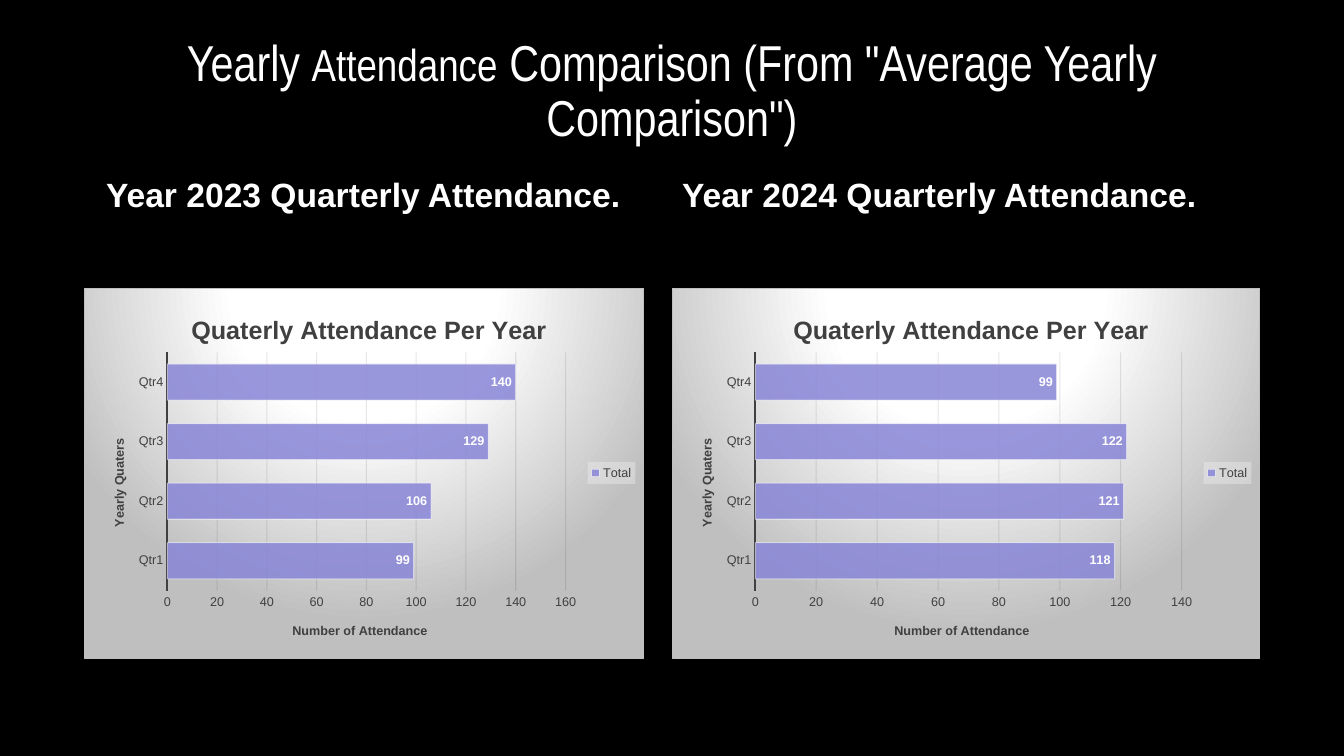
from pptx import Presentation
from pptx.chart.data import CategoryChartData
from pptx.dml.color import RGBColor
from pptx.enum.chart import XL_CHART_TYPE as ChartType, XL_LABEL_POSITION as LabelPosition
from pptx.enum.chart import XL_LEGEND_POSITION as LegendPosition, XL_TICK_MARK as TickMark
from pptx.enum.text import MSO_ANCHOR as Anchor, MSO_AUTO_SIZE as AutoSize, PP_ALIGN as Align
from pptx.oxml import parse_xml
from pptx.oxml.ns import nsdecls
from pptx.util import Pt

PX = 914400 / 100.8
BLACK = RGBColor(0x00, 0x00, 0x00)
WHITE = RGBColor(0xFF, 0xFF, 0xFF)
DARK_GRAY = RGBColor(0x40, 0x40, 0x40)
GRID = RGBColor(0x0D, 0x0D, 0x0D)
VIOLET = RGBColor(0x88, 0x85, 0xD7)

HEADING = dict(name="Arial", size=Pt(24), bold=True)
CHART_TITLE = dict(name="Arial", size=Pt(18), bold=True)
AXIS_TITLE = dict(name="Arial", size=Pt(9), bold=True)
TICK_LABEL = dict(name="Arial", size=Pt(9), bold=False)

QUARTERS = ["Qtr1", "Qtr2", "Qtr3", "Qtr4"]
# heading, heading box, chart box, values, axis maximum
YEARS = [
    ("Year 2023 Quarterly Attendance.", (96, 163, 535, 57), (84, 288, 560, 371),
     (99, 106, 129, 140), 160),
    ("Year 2024 Quarterly Attendance.", (672, 163, 577, 57), (672, 288, 588, 371),
     (118, 121, 122, 99), 140),
]

CHART_BACKGROUND = f"""<c:spPr {nsdecls('c', 'a')}>
<a:gradFill><a:gsLst>
<a:gs pos="0"><a:srgbClr val="FFFFFF"/></a:gs>
<a:gs pos="39000"><a:srgbClr val="FFFFFF"/></a:gs>
<a:gs pos="100000"><a:srgbClr val="BFBFBF"/></a:gs>
</a:gsLst><a:path path="circle"><a:fillToRect l="50000" t="-80000" r="50000" b="180000"/></a:path>
</a:gradFill>
<a:ln w="9525"><a:solidFill><a:srgbClr val="BFBFBF"/></a:solidFill></a:ln></c:spPr>"""
LEGEND_BACKGROUND = f"""<c:spPr {nsdecls('c', 'a')}><a:solidFill><a:srgbClr val="F2F2F2">
<a:alpha val="39000"/></a:srgbClr></a:solidFill></c:spPr>"""


def emu(box):
    return [round(length * PX) for length in box]


def set_font(font, color, values):
    for name, value in values.items():
        setattr(font, name, value)
    font.color.rgb = color


def set_line(line, color, width):
    line.color.rgb = color
    line.width = Pt(width)


def set_alpha(element, path, percent):
    for color in element.xpath(path + "/a:solidFill/a:srgbClr"):
        color.append(parse_xml(f'<a:alpha {nsdecls("a")} val="{percent * 1000}"/>'))


def fill_placeholder(shape, box, runs, anchor, alignment):
    """Write runs of (text, format) into a placeholder moved to the box."""
    shape.left, shape.top, shape.width, shape.height = emu(box)
    frame = shape.text_frame
    frame.auto_size = AutoSize.NONE
    frame.vertical_anchor = anchor
    paragraph = frame.paragraphs[0]
    for name, value in dict(alignment=alignment, line_spacing=0.9, space_before=Pt(0)).items():
        setattr(paragraph, name, value)
    for text, values in runs:
        run = paragraph.add_run()
        run.text = text
        set_font(run.font, WHITE, values)


def place_part(element, index, chart_box, left, top, width=None, height=None, inner=False):
    """Give a chart part a fixed place, in px from the chart's corner."""
    for layout in element.xpath("./c:layout"):
        element.remove(layout)
    chart_width, chart_height = chart_box[2:]
    target = '<c:layoutTarget val="inner"/>' if inner else ""
    modes = '<c:xMode val="edge"/><c:yMode val="edge"/>'
    values = f'<c:x val="{left / chart_width:.4f}"/><c:y val="{top / chart_height:.4f}"/>'
    if width:
        values += f'<c:w val="{width / chart_width:.4f}"/><c:h val="{height / chart_height:.4f}"/>'
    element.insert(index, parse_xml(
        f'<c:layout {nsdecls("c")}><c:manualLayout>{target}{modes}{values}'
        '</c:manualLayout></c:layout>'))


def write_title(title, text, values):
    paragraph = title.text_frame.paragraphs[0]
    run = paragraph.add_run()
    run.text = text
    set_font(run.font, DARK_GRAY, values)


def add_attendance_chart(slide, box, values, maximum):
    data = CategoryChartData(number_format="0")
    data.categories = QUARTERS
    data.add_series("Total", values)
    chart = slide.shapes.add_chart(ChartType.BAR_CLUSTERED, *emu(box), data).chart
    set_font(chart.font, WHITE, dict(name="Arial", size=Pt(10)))
    root = chart.element
    root.xpath("./c:chart")[0].addnext(parse_xml(CHART_BACKGROUND))

    # Titles
    chart.has_title = True
    category_axis, value_axis = chart.category_axis, chart.value_axis
    write_title(chart.chart_title, "Quaterly Attendance Per Year", CHART_TITLE)
    write_title(category_axis.axis_title, "Yearly Quaters", AXIS_TITLE)
    write_title(value_axis.axis_title, "Number of Attendance", AXIS_TITLE)

    # Axes
    for axis in (category_axis, value_axis):
        axis.major_tick_mark = axis.minor_tick_mark = TickMark.NONE
        set_font(axis.tick_labels.font, DARK_GRAY, TICK_LABEL)
    set_line(category_axis.format.line, DARK_GRAY, 1.5)
    value_axis.format.line.fill.background()
    for name, value in dict(minimum_scale=0, maximum_scale=maximum, major_unit=20,
                            has_major_gridlines=True).items():
        setattr(value_axis, name, value)
    set_line(value_axis.major_gridlines.format.line, GRID, 0.75)
    set_alpha(root, ".//c:majorGridlines/c:spPr/a:ln", 10)

    # Bars and their labels
    plot = chart.plots[0]
    plot.gap_width = 65
    plot.vary_by_categories = False
    series = plot.series[0]
    series.format.fill.solid()
    series.format.fill.fore_color.rgb = VIOLET
    set_line(series.format.line, WHITE, 0.75)
    set_alpha(root, ".//c:ser/c:spPr", 85)
    set_alpha(root, ".//c:ser/c:spPr/a:ln", 50)
    labels = series.data_labels
    for name, value in dict(show_value=True, position=LabelPosition.INSIDE_END,
                            number_format="0", number_format_is_linked=False).items():
        setattr(labels, name, value)
    set_font(labels.font, WHITE, AXIS_TITLE)

    # Legend
    chart.has_legend = True
    chart.legend.position = LegendPosition.RIGHT
    chart.legend.include_in_layout = False
    set_font(chart.legend.font, DARK_GRAY, TICK_LABEL)
    legend = root.xpath(".//c:legend")[0]
    legend.xpath("./c:txPr")[0].addprevious(parse_xml(LEGEND_BACKGROUND))

    # Places of the parts
    width = box[2]
    place_part(root.xpath("./c:chart/c:title")[0], 1, box, (width - 355) / 2, 20)
    place_part(root.xpath(".//c:catAx/c:title")[0], 1, box, 24, 148)
    place_part(root.xpath(".//c:valAx/c:title")[0], 1, box, (width - 148) / 2, 333)
    place_part(root.xpath(".//c:plotArea")[0], 0, box, 83, 64, width - 161, 239, inner=True)
    place_part(legend, 1, box, width - 56, 174, 48, 22)


def build_comparison(presentation):
    slide = presentation.slides.add_slide(presentation.slide_layouts[4])
    slide.background.fill.solid()
    slide.background.fill.fore_color.rgb = BLACK
    title, left_heading, left_content, right_heading, right_content = slide.placeholders

    # Title
    large = dict(name="Arial Narrow", size=Pt(36))
    small = dict(name="Arial Narrow", size=Pt(32))
    runs = [("Yearly ", large), ("Attendance", small),
            (' Comparison (From "Average Yearly Comparison")', large)]
    fill_placeholder(title, (84, 33, 1176, 94), runs, Anchor.TOP, Align.CENTER)

    # One column for each year
    for placeholder, year in zip((left_heading, right_heading), YEARS):
        heading, heading_box, chart_box, values, maximum = year
        fill_placeholder(placeholder, heading_box, [(heading, HEADING)], Anchor.BOTTOM, Align.LEFT)
        add_attendance_chart(slide, chart_box, values, maximum)
    for empty in (left_content, right_content):
        empty.element.getparent().remove(empty.element)


def main():
    presentation = Presentation()
    presentation.slide_width, presentation.slide_height = emu((1344, 756))
    build_comparison(presentation)
    presentation.save("out.pptx")


if __name__ == "__main__":
    main()
